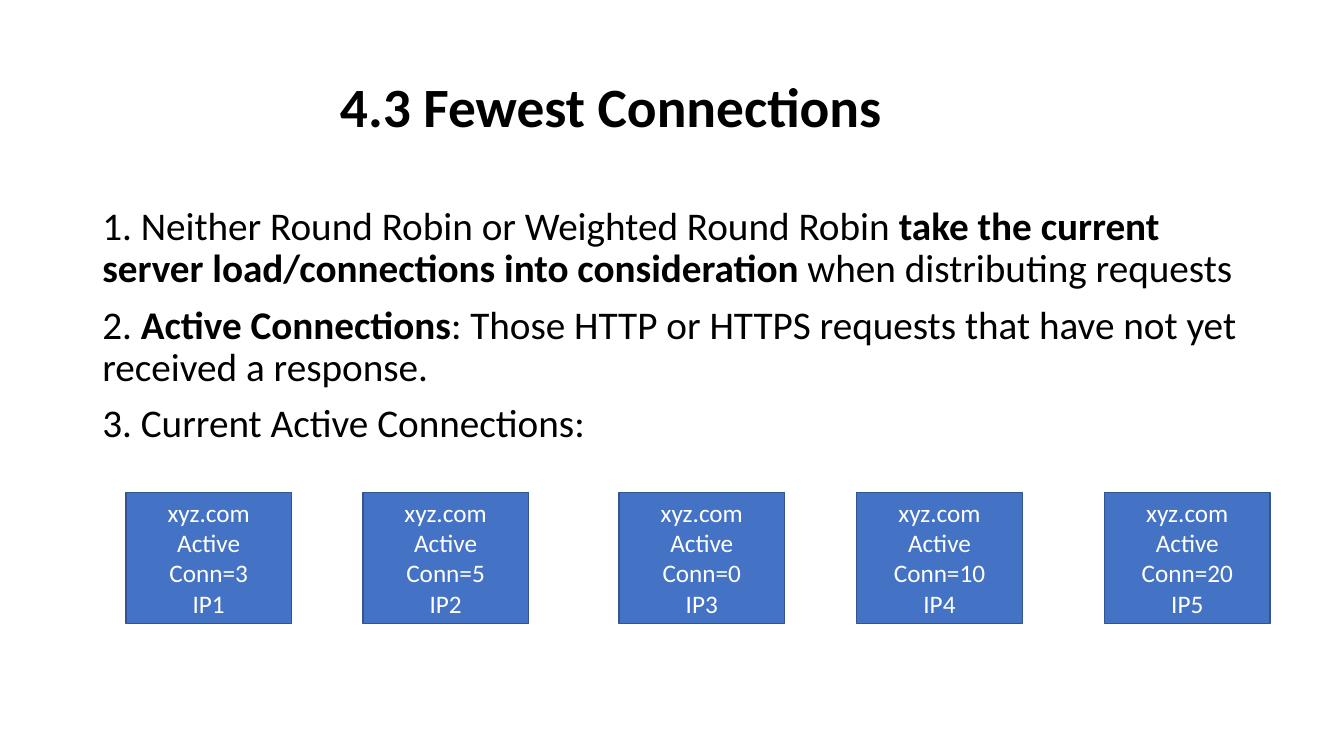
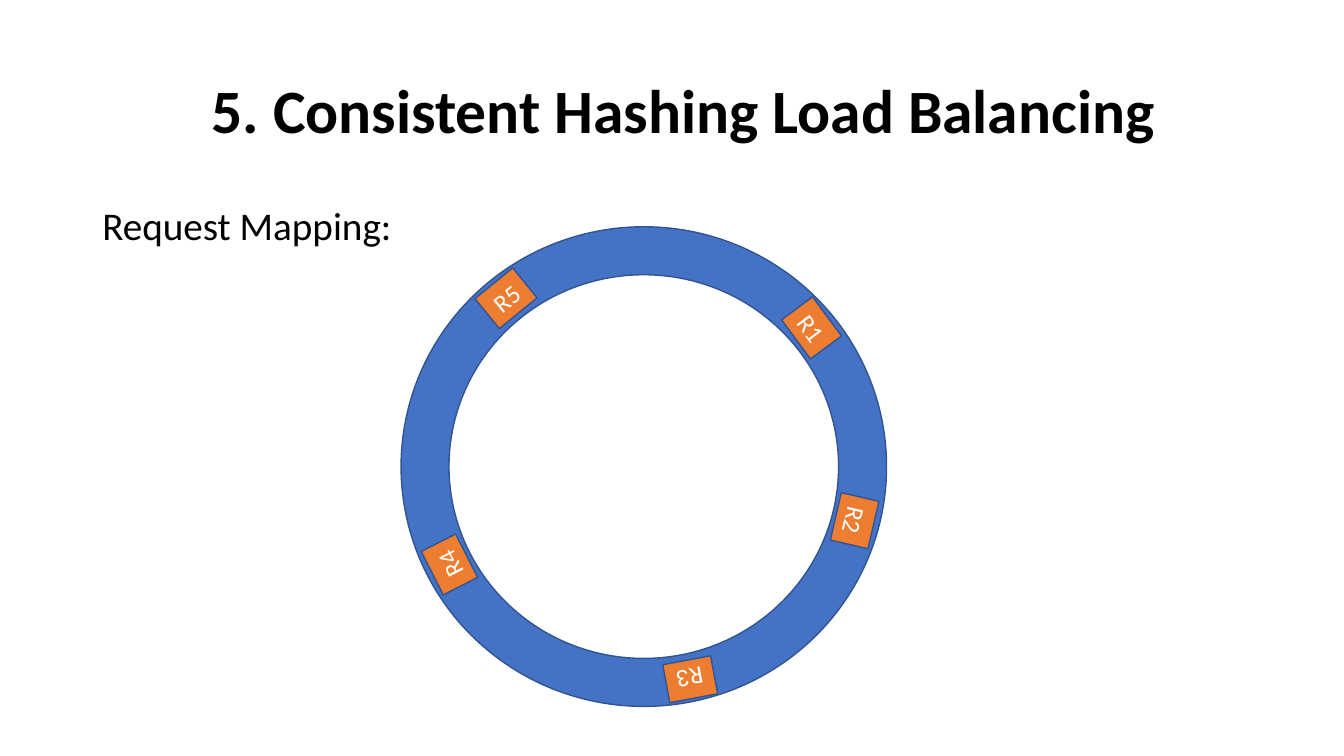
import math
from dataclasses import dataclass

import pptx
import pptx.dml.color
import pptx.enum.shapes
import pptx.enum.text
import pptx.util

SHAPE = pptx.enum.shapes.MSO_SHAPE
ANCHOR = pptx.enum.text.MSO_ANCHOR
ALIGN = pptx.enum.text.PP_ALIGN


@dataclass(frozen=True)
class Theme:
    font: str = "Calibri"
    ink: str = "000000"
    light: str = "FFFFFF"
    blue: str = "4472C4"
    orange: str = "ED7D31"
    edge: str = "325491"
    title: float = 44
    title_small: float = 39.6
    body: float = 28
    label: float = 18


THEME = Theme()

# Grid: 160 columns by 90 rows of square cells
COLS, ROWS = 160, 90
LEFT, TEXT_COLS = 11, 138
BLANK_LAYOUT = 6


def cells(n):
    return pptx.util.Inches(n / 12)


def rgb(color):
    return pptx.dml.color.RGBColor.from_string(color)


def style(p, size, color, bold=None):
    p.font.name = THEME.font
    p.font.size = pptx.util.Pt(size)
    p.font.color.rgb = rgb(color)
    p.font.bold = bold


def add_text(slide, top, rows):
    sp = slide.shapes.add_textbox(*map(cells, (LEFT, top, TEXT_COLS, rows)))
    sp.text_frame.word_wrap = True
    return sp.text_frame


def add_title(slide, text, indent, size=THEME.title, lift=0):
    """Bold title, indented by columns and lifted by rows."""
    tf = add_text(slide, 4.8, 17.4)
    tf.vertical_anchor = ANCHOR.MIDDLE
    tf.margin_bottom += cells(2 * lift)
    p = tf.paragraphs[0]
    p.text = text
    p.line_spacing = 0.9
    p._p.get_or_add_pPr().set("marL", str(cells(indent)))
    style(p, size, THEME.ink, True)


def add_body(slide, paragraphs):
    """Body text; ** marks the start and end of bold words."""
    tf = add_text(slide, 24, 57.1)
    for i, text in enumerate(paragraphs):
        p = tf.add_paragraph() if i else tf.paragraphs[0]
        p.line_spacing = 0.9
        if i:
            p.space_before = pptx.util.Pt(10)
        style(p, THEME.body, THEME.ink)
        for j, part in enumerate(text.split("**")):
            r = p.add_run()
            r.text = part
            if j % 2:
                r.font.bold = True


def add_block(slide, kind, box, fill, lines=(), rotation=0):
    """Outlined shape with centred label lines; box is in grid cells."""
    sp = slide.shapes.add_shape(kind, *map(cells, box))
    sp.shadow.inherit = False
    sp.fill.solid()
    sp.fill.fore_color.rgb = rgb(fill)
    sp.line.color.rgb = rgb(THEME.edge)
    sp.line.width = pptx.util.Pt(1)
    sp.rotation = rotation
    tf = sp.text_frame
    tf.word_wrap = True
    tf.vertical_anchor = ANCHOR.MIDDLE
    for i, line in enumerate(lines):
        p = tf.add_paragraph() if i else tf.paragraphs[0]
        p.text = line
        p.alignment = ALIGN.CENTER
        style(p, THEME.label, THEME.light)
    return sp


def add_servers(slide, servers):
    for i, (col, connections) in enumerate(servers, 1):
        lines = ("xyz.com", f"Active Conn={connections}", f"IP{i}")
        add_block(slide, SHAPE.RECTANGLE, (col, 58.6, 19.7, 15.6), THEME.blue, lines)


def add_hash_ring(slide, requests):
    """Ring with request tags, each at a clockwise angle from the top."""
    left, top, width, height = 47.75, 27, 57.8, 57.1
    ring = add_block(slide, SHAPE.DONUT, (left, top, width, height), THEME.blue)
    ring.adjustments[0] = 0.1
    radius, tag_w, tag_h = 25.9, 5.8, 4.6
    for i, (angle, tilt) in enumerate(requests, 1):
        a = math.radians(angle)
        x = left + width / 2 + radius * math.sin(a) - tag_w / 2
        y = top + height / 2 - radius * math.cos(a) - tag_h / 2
        add_block(slide, SHAPE.RECTANGLE, (x, y, tag_w, tag_h), THEME.orange,
                  [f"R{i}"], tilt)


def main():
    prs = pptx.Presentation()
    prs.slide_width, prs.slide_height = cells(COLS), cells(ROWS)
    blank = prs.slide_layouts[BLANK_LAYOUT]

    # Fewest connections
    s = prs.slides.add_slide(blank)
    add_title(s, "4.3 Fewest Connections", 28.3, THEME.title_small, lift=0.5)
    add_body(s, [
        "1. Neither Round Robin or Weighted Round Robin **take the current server "
        "load/connections into consideration** when distributing requests",
        "2. **Active Connections**: Those HTTP or HTTPS requests that have not yet "
        "received a response.",
        "3. Current Active Connections:",
    ])
    add_servers(s, [(15, 3), (43.2, 5), (73.7, 0), (102, 10), (131.5, 20)])

    # Consistent hashing
    s = prs.slides.add_slide(blank)
    add_title(s, "5. Consistent Hashing Load Balancing", 13)
    add_body(s, ["Request Mapping:"])
    add_hash_ring(s, [(50.4, 53.5), (104.4, 103), (167.7, 169.4),
                      (243.3, 243.1), (320.7, 320.8)])

    prs.save("out.pptx")


if __name__ == "__main__":
    main()
